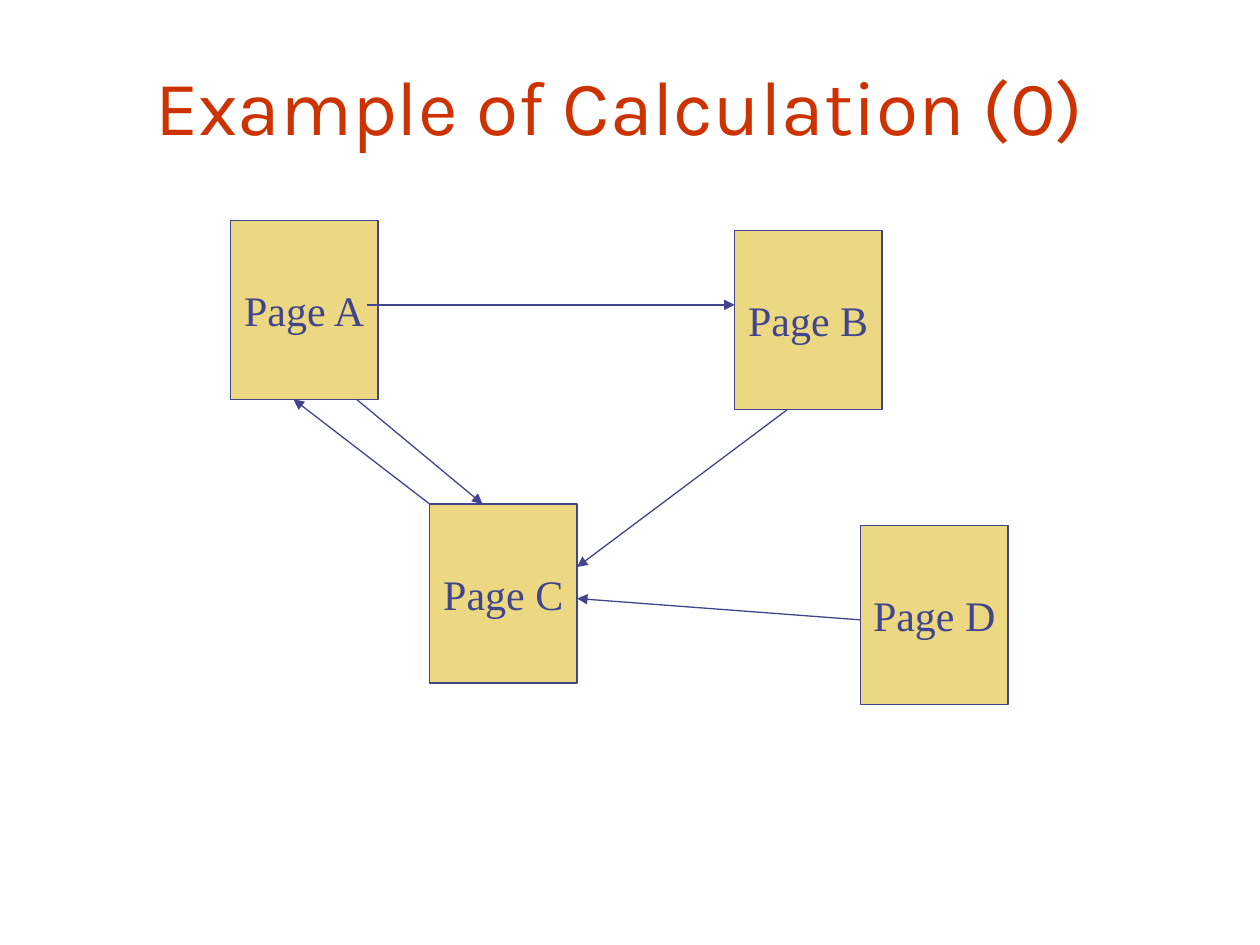
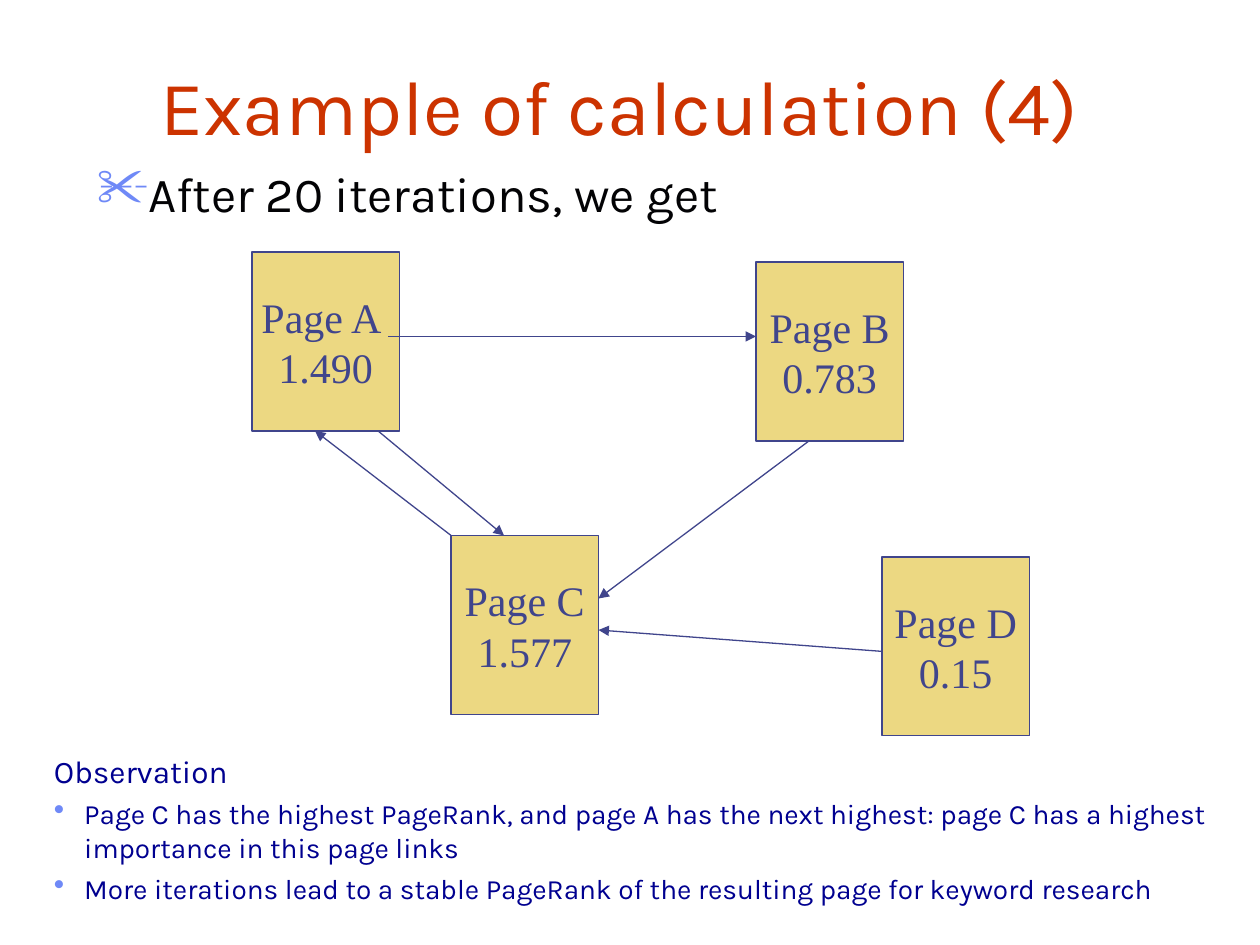
from dataclasses import dataclass

from lxml import etree
from pptx import Presentation
from pptx import util as u
from pptx.dml.color import RGBColor
from pptx.enum import shapes, text
from pptx.oxml import ns


@dataclass(frozen=True)
class Theme:
    """Colours, fonts and type sizes shared by the slides."""
    title_color: str = "CC3300"
    lead_color: str = "030305"
    note_color: str = "000090"
    bullet_color: str = "6F89F7"
    page_fill: str = "ECD882"
    page_line: str = "40458C"
    sans: str = "Karla"
    serif: str = "Times New Roman"
    title_size: float = 44
    lead_size: float = 28
    label_size: float = 24
    heading_size: float = 18
    note_size: float = 16
    line_width: float = 0.75
    bullet_scale: int = 110


THEME = Theme()
TITLE_BOX = (0.67, 0.33, 8.5, 0.92)
LEAD_BOX = (0.67, 1.25, 8.5, 0.75)
NOTE_BOX = (0.33, 5.92, 9.42, 1.33)
PAGE_WIDTH, PAGE_HEIGHT = 1.17, 1.42

PAGE_OFFSETS = {"A": (0, 0), "C": (1.58, 2.25), "B": (4, 0.08), "D": (5, 2.42)}
LINKS = [
    (("A", 1.08, 0.67), ("B", 0, 0.59)),
    (("B", 0.42, PAGE_HEIGHT), ("C", PAGE_WIDTH, 0.5)),
    (("D", 0, 0.75), ("C", PAGE_WIDTH, 0.75)),
    (("A", 1, PAGE_HEIGHT), ("C", 0.42, 0)),
    (("C", 0, 0), ("A", 0.5, PAGE_HEIGHT)),
]


def apply_format(target, values):
    """Set each named attribute of the target."""
    for name, value in values.items():
        setattr(target, name, value)


def inches(*lengths):
    """Convert several lengths to inches."""
    return [u.Inches(length) for length in lengths]


def add_child(parent, tag, **attributes):
    """Append a drawing element to the parent."""
    return etree.SubElement(parent, ns.qn(tag), attributes)


def add_bullet(para, character, indent):
    """Give the paragraph a coloured bullet and a hanging indent."""
    properties = para._p.get_or_add_pPr()
    properties.set("marL", str(u.Inches(indent)))
    properties.set("indent", str(-u.Inches(indent)))
    add_child(add_child(properties, "a:buClr"), "a:srgbClr", val=THEME.bullet_color)
    add_child(properties, "a:buSzPct", val=str(THEME.bullet_scale * 1000))
    add_child(properties, "a:buChar", char=character)


def write_lines(frame, lines, font, size, color, **paragraph_format):
    """Write one paragraph per line after any text in the frame."""
    paras = []
    for line in lines:
        para = frame.add_paragraph() if frame.text else frame.paragraphs[0]
        apply_format(para, paragraph_format)
        span = para.add_run()
        span.text = line
        apply_format(span.font, {"name": font, "size": u.Pt(size)})
        span.font.color.rgb = RGBColor.from_string(color)
        paras.append(para)
    return paras


def add_text_frame(slide, box):
    """Add a wrapping text box and return its frame."""
    frame = slide.shapes.add_textbox(*inches(*box)).text_frame
    frame.word_wrap = True
    return frame


def add_title(slide, title, box=TITLE_BOX):
    """Add the centred slide title."""
    frame = add_text_frame(slide, box)
    frame.vertical_anchor = text.MSO_ANCHOR.BOTTOM
    write_lines(frame, [title], THEME.sans, THEME.title_size, THEME.title_color,
                alignment=text.PP_ALIGN.CENTER)


def add_lead(slide, line, box=LEAD_BOX):
    """Add the bulleted line under the title."""
    frame = add_text_frame(slide, box)
    for para in write_lines(frame, [line], THEME.sans, THEME.lead_size, THEME.lead_color):
        add_bullet(para, "✂", 0.38)


def add_notes(slide, heading, points, box=NOTE_BOX):
    """Add a heading with bulleted points below it."""
    frame = add_text_frame(slide, box)
    write_lines(frame, [heading], THEME.sans, THEME.heading_size, THEME.note_color)
    for para in write_lines(frame, points, THEME.sans, THEME.note_size,
                            THEME.note_color, space_before=u.Pt(4)):
        add_bullet(para, "•", 0.24)


def style_line(line):
    """Apply the shared outline to a page or link."""
    line.color.rgb = RGBColor.from_string(THEME.page_line)
    line.width = u.Pt(THEME.line_width)


def add_page(slide, lines, left, top):
    """Add one web page as a labelled rectangle."""
    page = slide.shapes.add_shape(shapes.MSO_SHAPE.RECTANGLE,
                                  *inches(left, top, PAGE_WIDTH, PAGE_HEIGHT))
    page.shadow.inherit = False
    page.fill.solid()
    page.fill.fore_color.rgb = RGBColor.from_string(THEME.page_fill)
    style_line(page.line)
    apply_format(page.text_frame, {"word_wrap": False,
                                   "vertical_anchor": text.MSO_ANCHOR.MIDDLE})
    write_lines(page.text_frame, lines, THEME.serif, THEME.label_size, THEME.page_line,
                alignment=text.PP_ALIGN.CENTER)


def add_link(slide, start, end):
    """Add an arrow between two points."""
    link = slide.shapes.add_connector(shapes.MSO_CONNECTOR.STRAIGHT,
                                      *inches(*start, *end))
    style_line(link.line)
    add_child(link.line._get_or_add_ln(), "a:tailEnd", type="triangle")
    add_child(link._element.spPr, "a:effectLst")


def add_graph(slide, labels, left, top):
    """Draw the linked pages from the given top left corner."""
    def locate(name, across=0, down=0):
        """Find a point measured from the corner of a page."""
        x, y = PAGE_OFFSETS[name]
        return left + x + across, top + y + down

    for name, lines in labels.items():
        add_page(slide, lines, *locate(name))
    for start, end in LINKS:
        add_link(slide, locate(*start), locate(*end))


def build_start_slide(slide):
    """Build the slide with the page links alone."""
    add_title(slide, "Example of Calculation (0)")
    add_graph(slide, {name: [f"Page {name}"] for name in PAGE_OFFSETS}, 1.83, 1.75)


def build_result_slide(slide):
    """Build the slide with the final ranks."""
    add_title(slide, "Example of calculation (4)")
    add_lead(slide, "After 20 iterations, we get")
    add_graph(slide, {
        "A": ["Page A ", "1.490"],
        "C": ["Page C", "1.577"],
        "B": ["Page B", "0.783"],
        "D": ["Page D", "0.15"],
    }, 2, 2)
    add_notes(slide, "Observation", [
        "Page C has the highest PageRank, and page A has the next highest: "
        "page C has a highest importance in this page links",
        "More iterations lead to a stable PageRank of the resulting page "
        "for keyword research",
    ])


def main():
    """Build and save the deck."""
    deck = Presentation()
    apply_format(deck, {"slide_width": u.Inches(10), "slide_height": u.Inches(7.5)})
    for build in (build_start_slide, build_result_slide):
        build(deck.slides.add_slide(deck.slide_layouts[6]))
    deck.save("out.pptx")


if __name__ == "__main__":
    main()
